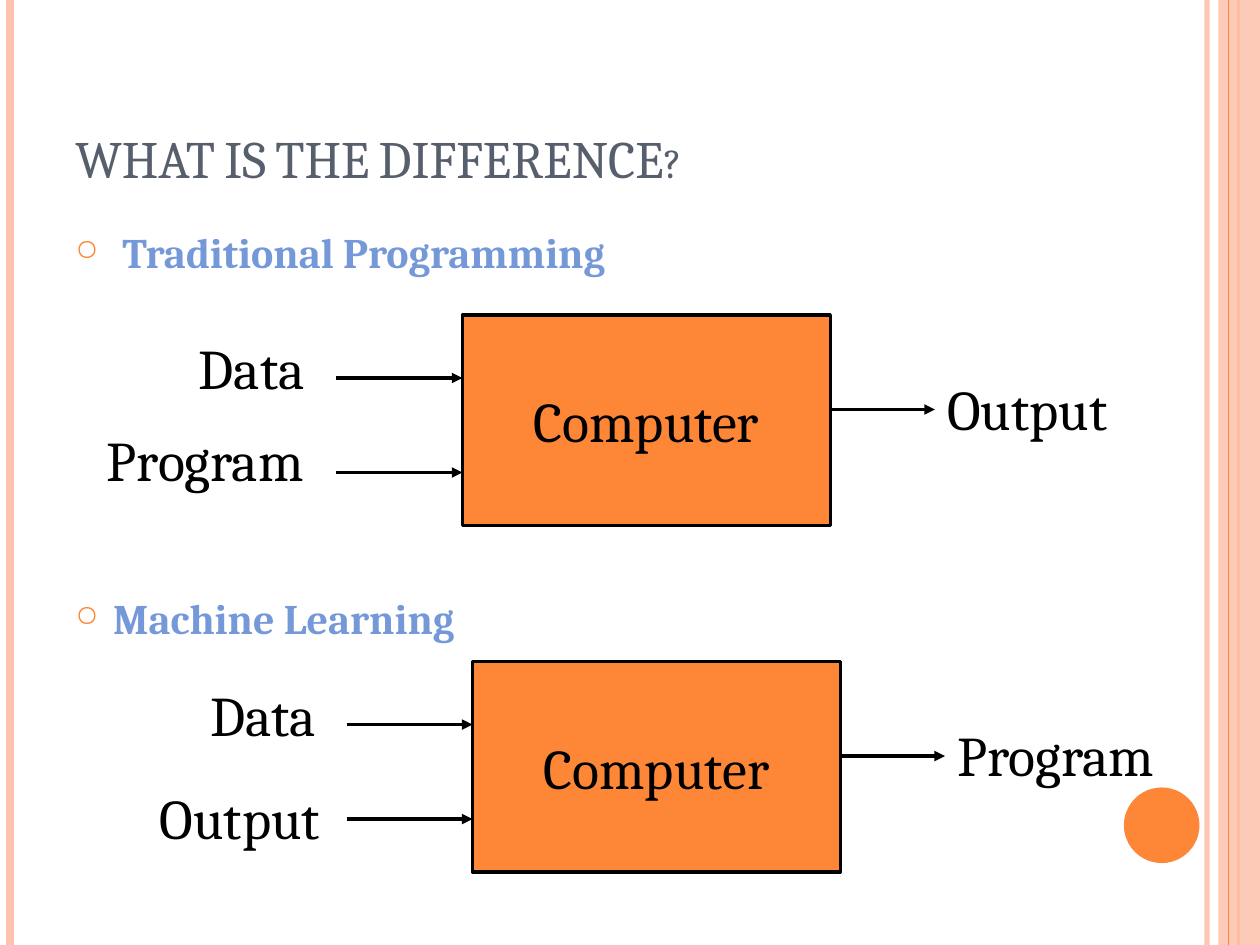
from lxml import etree
from pptx import Presentation
from pptx.dml.color import RGBColor
from pptx.enum import shapes, text
from pptx.oxml import ns
from pptx.util import Inches, Pt

COLORS = {"orange": "FE8637", "peach": "FEC3AE", "slate": "575F6D",
          "blue": "7598D9", "black": "000000"}
FONT = "Cambria"

deck = Presentation()
deck.slide_width, deck.slide_height = Inches(10), Inches(7.5)
slide = deck.slides.add_slide(deck.slide_layouts[6])


def add_line(x1, y1, x2, y2, color, width, arrow=False):
    line = slide.shapes.add_connector(
        shapes.MSO_CONNECTOR.STRAIGHT, Inches(x1), Inches(y1), Inches(x2), Inches(y2))
    line.line.color.rgb = RGBColor.from_string(COLORS[color])
    line.line.width = Pt(width)
    if arrow:
        etree.SubElement(line.line._get_or_add_ln(), ns.qn("a:tailEnd"), type="triangle")
    etree.SubElement(line._element.spPr, ns.qn("a:effectLst"))
    return line


def style_text(paragraph, size, color, bold=False):
    for run in paragraph.runs:
        run.font.name = FONT
        run.font.size = Pt(size)
        run.font.bold = bold
        run.font.color.rgb = RGBColor.from_string(COLORS[color])


# Edge stripes, band and disc
right_stripe = add_line(9.58, 0, 9.58, 7.5, "peach", 3)
add_line(0.08, 0, 0.08, 7.5, "peach", 4.5)
add_line(9.83, 0, 9.83, 7.5, "orange", 1.5)
band = slide.shapes.add_shape(
    shapes.MSO_SHAPE.RECTANGLE, Inches(9.67), 0, Inches(0.33), Inches(7.5))
add_line(9.75, 0, 9.75, 7.5, "orange", 0.75)
disc = slide.shapes.add_shape(
    shapes.MSO_SHAPE.OVAL, Inches(8.92), Inches(6.25), Inches(0.6), Inches(0.6))
for ornament, color in ((band, "peach"), (disc, "orange")):
    ornament.shadow.inherit = False
    ornament.fill.solid()
    ornament.fill.fore_color.rgb = RGBColor.from_string(COLORS[color])
    ornament.line.fill.background()
for translucent, alpha in ((right_stripe, "93000"), (band, "87000")):
    tint = translucent._element.spPr.find(".//" + ns.qn("a:srgbClr"))
    etree.SubElement(tint, ns.qn("a:alpha"), val=alpha)

# Title
title = slide.shapes.add_textbox(
    Inches(0.5), Inches(0.3), Inches(8.17), Inches(1.25)).text_frame
title.word_wrap = True
title.vertical_anchor = text.MSO_ANCHOR.BOTTOM
title.text = "WHAT IS THE DIFFERENCE?"
style_text(title.paragraphs[0], 30, "slate")
title.paragraphs[0].runs[0].font._element.set("cap", "small")

# Bulleted headings, spaced apart to leave room for the first diagram
headings = slide.shapes.add_textbox(
    Inches(0.5), Inches(1.75), Inches(8.17), Inches(5.33)).text_frame
headings.word_wrap = True
headings.text = " Traditional Programming\nMachine Learning"
for heading in headings.paragraphs:
    props = heading._p.get_or_add_pPr()
    props.set("marL", str(Inches(0.3)))
    props.set("indent", str(Inches(-0.3)))
    bullet_color = etree.SubElement(props, ns.qn("a:buClr"))
    etree.SubElement(bullet_color, ns.qn("a:srgbClr"), val=COLORS["orange"])
    etree.SubElement(props, ns.qn("a:buSzPct"), val="70000")
    etree.SubElement(props, ns.qn("a:buChar"), char="○")
    style_text(heading, 24, "blue", bold=True)
headings.paragraphs[1].space_before = Pt(180)

# Diagrams: computer left and top, then labels as (text, left, top, width)
diagrams = [
    (3.67, 2.5, [("Data", 1.48, 2.6, 1.14), ("Program", 0.75, 3.33, 1.9),
                 ("Output", 7.42, 2.92, 1.53)]),
    (3.75, 5.25, [("Data", 1.57, 5.35, 1.14), ("Output", 1.17, 6.17, 1.53),
                  ("Program", 7.5, 5.67, 1.9)]),
]
for left, top, labels in diagrams:
    computer = slide.shapes.add_shape(
        shapes.MSO_SHAPE.RECTANGLE, Inches(left), Inches(top), Inches(2.92), Inches(1.67))
    computer.shadow.inherit = False
    computer.fill.solid()
    computer.fill.fore_color.rgb = RGBColor.from_string(COLORS["orange"])
    computer.line.color.rgb = RGBColor.from_string(COLORS["black"])
    computer.line.width = Pt(2)
    computer.text_frame.word_wrap = False
    computer.text_frame.vertical_anchor = text.MSO_ANCHOR.MIDDLE
    computer.text_frame.text = "Computer"
    computer.text_frame.paragraphs[0].alignment = text.PP_ALIGN.CENTER
    style_text(computer.text_frame.paragraphs[0], 32, "black")

    # Two inputs and one result
    right = left + 2.92
    for start, end, drop in ((left - 1, left, 0.5), (left - 1, left, 1.25),
                             (right, right + 0.83, 0.75)):
        add_line(start, top + drop, end, top + drop, "black", 2, arrow=True)

    for wording, label_left, label_top, width in labels:
        label = slide.shapes.add_textbox(
            Inches(label_left), Inches(label_top), Inches(width), Inches(0.63)).text_frame
        label.word_wrap = False
        label.auto_size = text.MSO_AUTO_SIZE.SHAPE_TO_FIT_TEXT
        label.text = wording
        style_text(label.paragraphs[0], 32, "black")

deck.save("out.pptx")
